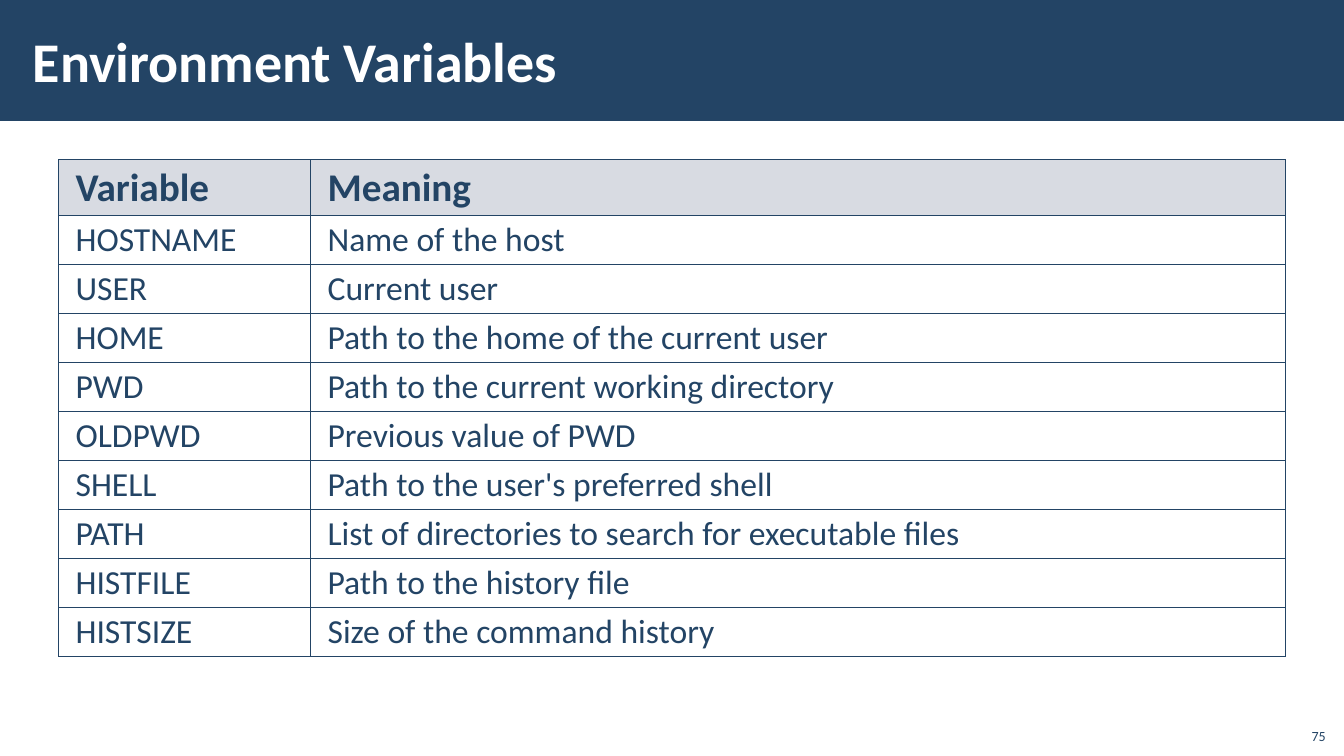
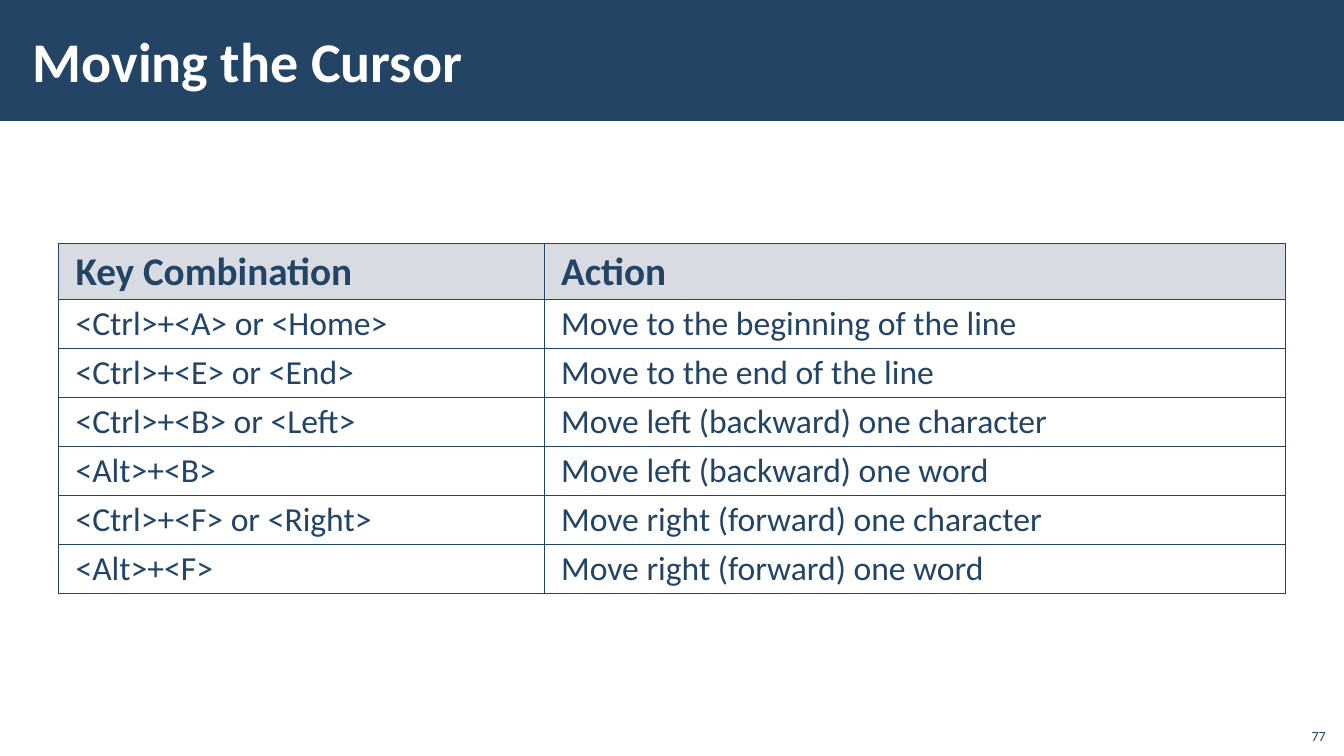
from pptx import Presentation
from pptx.dml.color import RGBColor
from pptx.enum.shapes import MSO_SHAPE
from pptx.enum.text import MSO_ANCHOR, MSO_AUTO_SIZE, PP_ALIGN
from pptx.oxml import parse_xml
from pptx.oxml.ns import nsdecls
from pptx.util import Inches, Pt

# Shared style
NAVY, GREY, WHITE = "234465", "D8DBE2", "FFFFFF"
FONT = "Calibri"

# Grid of 160 columns by 90 rows on a 16:9 slide
COLS, ROWS = 160, 90
CELL = Inches(7.5) / ROWS
TABLE_LEFT, TABLE_WIDTH = 7, 146
HEADER_ROW, BODY_ROW = 6.5, 5.75


def grid(*units):
    """Turn grid units into slide lengths."""
    return [round(u * CELL) for u in units]


def add_run(p, text, size, color, bold=False):
    r = p.add_run()
    r.text = text
    r.font.name, r.font.size, r.font.bold = FONT, Pt(size), bold
    r.font.color.rgb = RGBColor.from_string(color)


# Title, page number, table top, first column width, table rows
slides = [
    ("Environment Variables", "75", 19, 30, [
        ("Variable", "Meaning"),
        ("HOSTNAME", "Name of the host"),
        ("USER", "Current user"),
        ("HOME", "Path to the home of the current user"),
        ("PWD", "Path to the current working directory"),
        ("OLDPWD", "Previous value of PWD"),
        ("SHELL", "Path to the user's preferred shell"),
        ("PATH", "List of directories to search for executable files"),
        ("HISTFILE", "Path to the history file"),
        ("HISTSIZE", "Size of the command history"),
    ]),
    ("Moving the Cursor", "77", 29, 57.8, [
        ("Key Combination", "Action"),
        ("<Ctrl>+<A> or <Home>", "Move to the beginning of the line"),
        ("<Ctrl>+<E> or <End>", "Move to the end of the line"),
        ("<Ctrl>+<B> or <Left>", "Move left (backward) one character"),
        ("<Alt>+<B>", "Move left (backward) one word"),
        ("<Ctrl>+<F> or <Right>", "Move right (forward) one character"),
        ("<Alt>+<F>", "Move right (forward) one word"),
    ]),
]

prs = Presentation()
prs.slide_width, prs.slide_height = grid(COLS, ROWS)
layout = prs.slide_layouts[5]

for title, number, top, first_col, rows in slides:
    s = prs.slides.add_slide(layout)

    # Title band, placed behind the title
    band = s.shapes.add_shape(MSO_SHAPE.RECTANGLE, *grid(0, 0, COLS, 14.4))
    band.shadow.inherit = False
    band.fill.solid()
    band.fill.fore_color.rgb = RGBColor.from_string(NAVY)
    band.line.fill.background()
    s.shapes._spTree.insert(2, band._element)

    # Title
    sp = s.shapes.title
    sp.left, sp.top, sp.width, sp.height = grid(2.5, 1.3, 127.6, 11.6)
    tf = sp.text_frame
    tf.auto_size = MSO_AUTO_SIZE.NONE
    tf.vertical_anchor = MSO_ANCHOR.MIDDLE
    tf.margin_left, tf.margin_top, tf.margin_right, tf.margin_bottom = grid(1.4, 0.5, 1.4, 0.5)
    p = tf.paragraphs[0]
    p.alignment = PP_ALIGN.LEFT
    add_run(p, title, 40, WHITE, bold=True)

    # Table
    height = HEADER_ROW + BODY_ROW * (len(rows) - 1)
    table = s.shapes.add_table(len(rows), 2, *grid(TABLE_LEFT, top, TABLE_WIDTH, height)).table
    table.first_row = table.horz_banding = False
    for column, width in zip(table.columns, grid(first_col, TABLE_WIDTH - first_col)):
        column.width = width
    for i, texts in enumerate(rows):
        header = i == 0
        table.rows[i].height = grid(HEADER_ROW if header else BODY_ROW)[0]
        for j, text in enumerate(texts):
            cell = table.cell(i, j)
            cell.margin_left, cell.margin_top, cell.margin_right, cell.margin_bottom = grid(2, 0.6, 2, 0.6)
            tcPr = cell._tc.get_or_add_tcPr()
            for side in "LRTB":
                tcPr.append(parse_xml(
                    f'<a:ln{side} {nsdecls("a")} w="{Pt(1)}"><a:solidFill>'
                    f'<a:srgbClr val="{NAVY}"/></a:solidFill></a:ln{side}>'))
            if header:
                cell.fill.solid()
                cell.fill.fore_color.rgb = RGBColor.from_string(GREY)
            else:
                cell.fill.background()
            p = cell.text_frame.paragraphs[0]
            p.line_spacing = 0.95
            add_run(p, text, 28 if header else 24, NAVY, bold=header)

    # Page number
    tf = s.shapes.add_textbox(*grid(154.2, 85.4, 4.8, 3.8)).text_frame
    tf.word_wrap = True
    tf.vertical_anchor = MSO_ANCHOR.BOTTOM
    p = tf.paragraphs[0]
    p.alignment = PP_ALIGN.RIGHT
    add_run(p, number, 10, NAVY)

prs.save("out.pptx")
